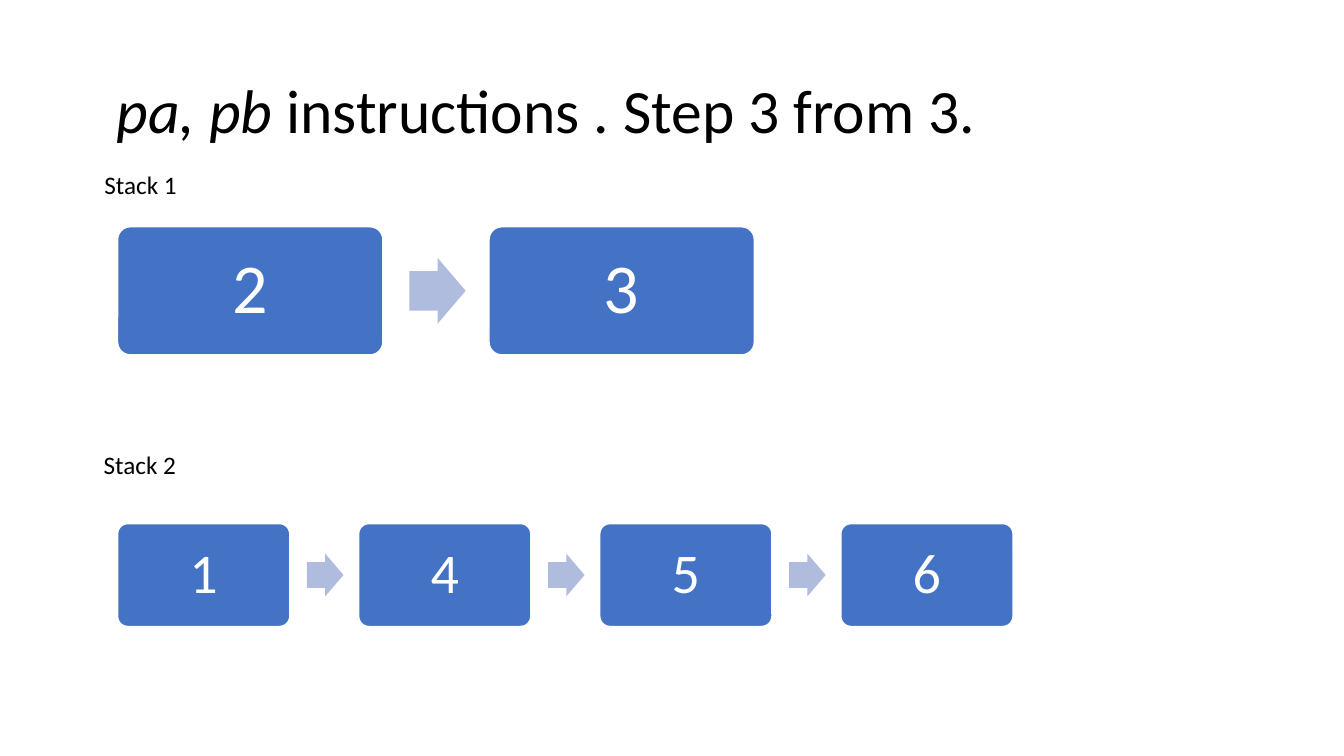
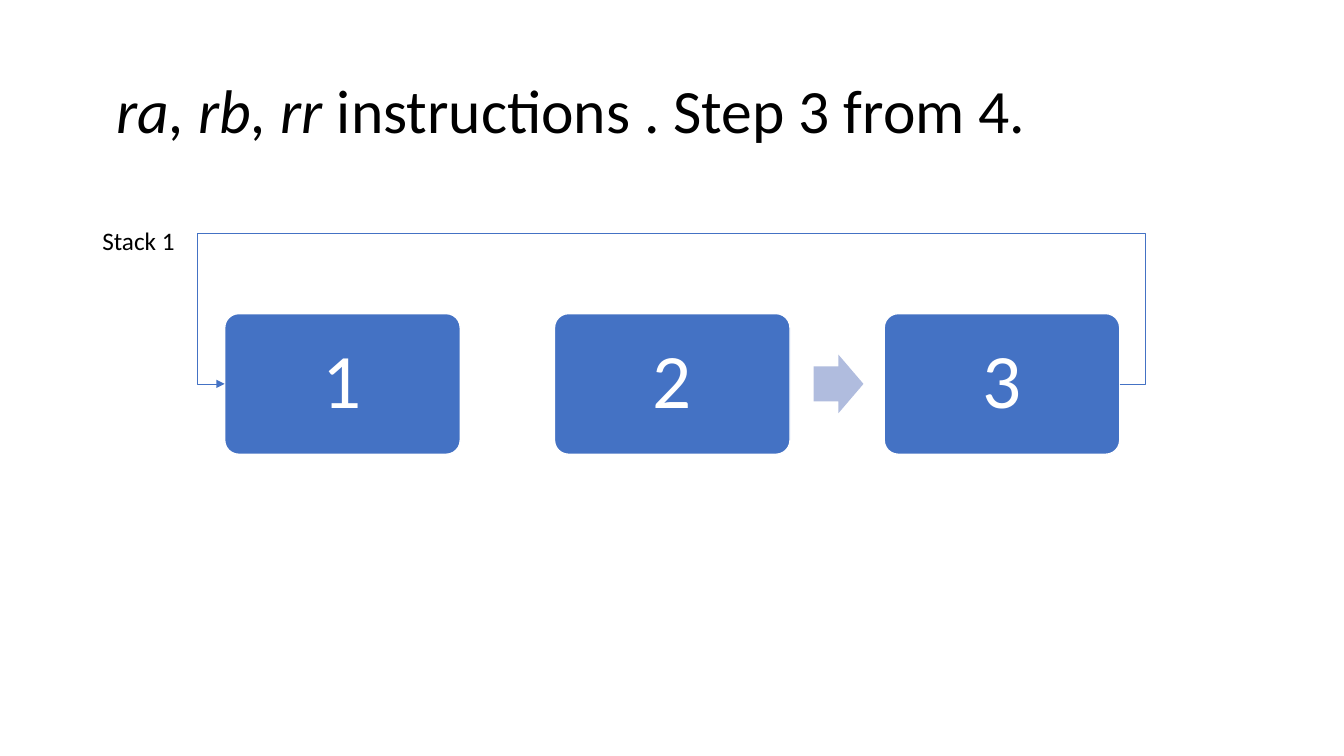
from lxml import etree
from pptx import Presentation
from pptx.dml.color import RGBColor
from pptx.enum.shapes import MSO_CONNECTOR as Connector, MSO_SHAPE as Shape
from pptx.enum.text import MSO_ANCHOR as Anchor, PP_ALIGN as Align
from pptx.oxml.ns import qn
from pptx.util import Pt

COLORS = {"text": "000000", "box": "4472C4", "arrow": "B0BCDE", "white": "FFFFFF"}
FONT = "Calibri"


def rgb(name):
    return RGBColor.from_string(COLORS[name])


def style_run(run, size, color, italic=False):
    run.font.name = FONT
    run.font.size = Pt(size)
    run.font.italic = italic
    run.font.color.rgb = rgb(color)


def add_text(slide, box, runs, size, anchor=Anchor.TOP, inset=7.2, spacing=1.0):
    """Place one paragraph; runs holds (text, italic) pairs."""
    frame = slide.shapes.add_textbox(*map(Pt, box)).text_frame
    frame.word_wrap = True
    frame.vertical_anchor = anchor
    frame.margin_left = Pt(inset)
    paragraph = frame.paragraphs[0]
    paragraph.line_spacing = spacing
    for text, italic in runs:
        run = paragraph.add_run()
        run.text = text
        style_run(run, size, "text", italic)


def add_title(slide, instructions, step):
    runs = [(instructions, True), (f" instructions . Step {step}.", False)]
    add_text(slide, (66, 28.75, 828, 104.5), runs, 44, Anchor.MIDDLE, 17.2, 0.9)


def add_label(slide, left, top, text):
    add_text(slide, (left, top, 72, 29), [(text, False)], 18)


def add_filled(slide, preset, box, color):
    shape = slide.shapes.add_shape(preset, *map(Pt, box))
    shape.shadow.inherit = False
    shape.fill.solid()
    shape.fill.fore_color.rgb = rgb(color)
    shape.line.fill.background()
    return shape


def add_stack(slide, first_box, values, size, unlinked=()):
    """Draw a row of boxes; every measure follows from the first box."""
    left, top, width, height = first_box
    arrow_width, arrow_height = 0.212 * width, 0.248 * width
    for index, value in enumerate(values):
        x = left + 1.4 * width * index
        element = add_filled(slide, Shape.ROUNDED_RECTANGLE, (x, top, width, height), "box")
        element.adjustments[0] = 0.1
        element.line.color.rgb = rgb("white")
        element.line.width = Pt(1)
        frame = element.text_frame
        frame.text = value
        frame.vertical_anchor = Anchor.MIDDLE
        frame.paragraphs[0].alignment = Align.CENTER
        frame.paragraphs[0].line_spacing = 0.9
        style_run(frame.paragraphs[0].runs[0], size, "white")

        # Arrow to the next box
        if index < len(values) - 1 and index not in unlinked:
            arrow_box = (x + 1.1 * width, top + (height - arrow_height) / 2,
                         arrow_width, arrow_height)
            arrow = add_filled(slide, Shape.RIGHT_ARROW, arrow_box, "arrow")
            arrow.adjustments[0] = 0.6
            arrow.adjustments[1] = 0.5


def add_elbow(slide, start, end, bend_x, arrowhead=False):
    """Draw a bent line whose upright part stands at bend_x."""
    line = slide.shapes.add_connector(Connector.ELBOW, *map(Pt, start + end))
    line.line.color.rgb = rgb("box")
    line.line.width = Pt(0.5)
    properties = line._element.spPr
    bend = round((bend_x - start[0]) / (end[0] - start[0]) * 100000)
    guides = properties.find(qn("a:prstGeom")).get_or_add_avLst()
    etree.SubElement(guides, qn("a:gd"), name="adj1", fmla=f"val {bend}")
    if arrowhead:
        etree.SubElement(properties.find(qn("a:ln")), qn("a:tailEnd"), type="triangle")
    etree.SubElement(properties, qn("a:effectLst"))


def add_return_path(slide, left, right, middle, top):
    """Lead from the last box over the row back to the first one."""
    center = 413
    add_elbow(slide, (center, top), (left, middle), left - 19.5, arrowhead=True)
    add_elbow(slide, (right, middle), (center, top), right + 18)


def build_push_slide(slide):
    add_title(slide, "pa, pb", "3 from 3")
    add_label(slide, 67.5, 117.5, "Stack 1")
    add_stack(slide, (84, 162, 189.5, 91.5), "23", 50)
    add_label(slide, 67, 317.5, "Stack 2")
    add_stack(slide, (84, 374, 123, 73.5), "1456", 40)


def build_rotate_slide(slide):
    add_title(slide, "ra, rb, rr", "3 from 4")
    left, top, width, height = first_box = (160.5, 224, 168.25, 100.5)
    add_stack(slide, first_box, "123", 55, unlinked={0})
    add_label(slide, 66, 157.5, "Stack 1")
    add_return_path(slide, left, left + 3.8 * width, top + height / 2, 167)


def main():
    deck = Presentation()
    deck.slide_width, deck.slide_height = Pt(960), Pt(540)
    for build in (build_push_slide, build_rotate_slide):
        build(deck.slides.add_slide(deck.slide_layouts[6]))
    deck.save("out.pptx")


if __name__ == "__main__":
    main()
